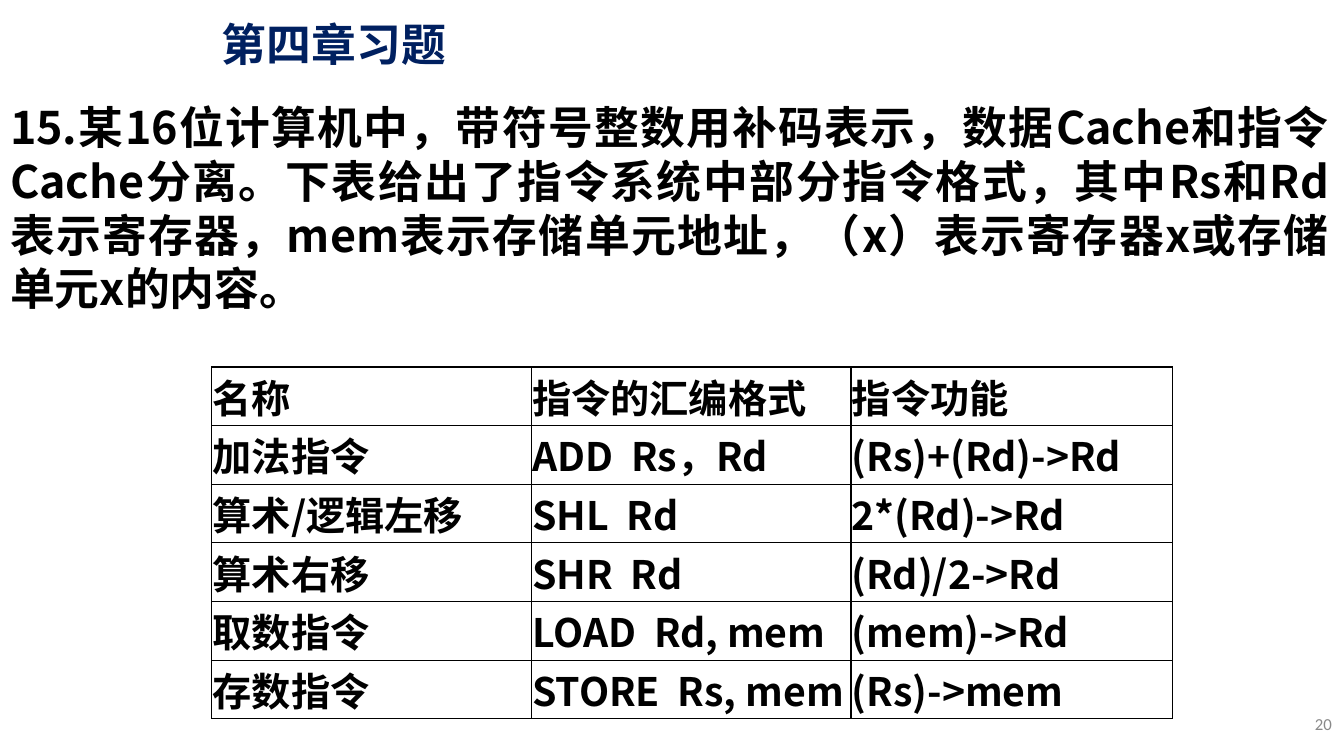
from dataclasses import dataclass

from lxml.etree import SubElement
from pptx import Presentation
from pptx.dml.color import RGBColor
from pptx.enum.text import MSO_ANCHOR, MSO_AUTO_SIZE, PP_ALIGN
from pptx.oxml.ns import qn
from pptx.util import Inches, Pt

BLACK, NAVY, GREY, WHITE = "000000", "002060", "898989", "FFFFFF"
CJK = "Noto Sans CJK JP"


@dataclass(frozen=True)
class TextStyle:
    size: float
    color: str = BLACK
    face: str = CJK
    bold: bool = True
    align: PP_ALIGN = PP_ALIGN.JUSTIFY


@dataclass(frozen=True)
class Instruction:
    name: str
    assembly: str
    function: str


TITLE = TextStyle(32, NAVY, "Noto Sans CJK SC", align=PP_ALIGN.LEFT)
QUESTION = TextStyle(32)
CELL = TextStyle(28)
PAGE = TextStyle(12, GREY, "Calibri", False, PP_ALIGN.RIGHT)

INSTRUCTIONS = [
    Instruction("名称", "指令的汇编格式", "指令功能"),
    Instruction("加法指令", "ADD  Rs，Rd", "(Rs)+(Rd)->Rd"),
    Instruction("算术/逻辑左移", "SHL  Rd", "2*(Rd)->Rd"),
    Instruction("算术右移", "SHR  Rd", "(Rd)/2->Rd"),
    Instruction("取数指令", "LOAD  Rd, mem", "(mem)->Rd"),
    Instruction("存数指令", "STORE  Rs, mem", "(Rs)->mem"),
]
COLUMN_WIDTHS = [3.17, 3.17, 3.19]
ROW_HEIGHT = 0.38


def rgb(color: str) -> RGBColor:
    return RGBColor.from_string(color)


def write(frame, text: str, style: TextStyle) -> None:
    """Fill a text frame with one plain paragraph."""
    frame.text = text
    paragraph = frame.paragraphs[0]
    paragraph.alignment = style.align
    paragraph.line_spacing = 1.0
    paragraph.space_before = Pt(0)
    font = paragraph.font
    font.size, font.bold, font.name = Pt(style.size), style.bold, style.face
    font.color.rgb = rgb(style.color)
    props = paragraph._p.pPr
    props.set("marL", "0")
    props.set("indent", "0")
    defaults = props.find(qn("a:defRPr"))
    SubElement(defaults, qn("a:ea")).set("typeface", style.face)
    defaults.addprevious(props.makeelement(qn("a:buNone")))


def place(shape, left: float, top: float, width: float, height: float,
          anchor: MSO_ANCHOR = MSO_ANCHOR.TOP, inset: float = 0.1) -> None:
    shape.left, shape.top = Inches(left), Inches(top)
    shape.width, shape.height = Inches(width), Inches(height)
    frame = shape.text_frame
    frame.word_wrap = True
    frame.auto_size = MSO_AUTO_SIZE.NONE
    frame.vertical_anchor = anchor
    frame.margin_left = frame.margin_right = Inches(inset)
    frame.margin_top = frame.margin_bottom = Inches(0.05)


def add_borders(cell) -> None:
    props = cell._tc.get_or_add_tcPr()
    for position, side in enumerate(("a:lnL", "a:lnR", "a:lnT", "a:lnB")):
        line = props.makeelement(qn(side), {"w": str(Pt(1))})
        fill = SubElement(line, qn("a:solidFill"))
        SubElement(fill, qn("a:srgbClr")).set("val", BLACK)
        props.insert(position, line)


def add_instruction_table(slide) -> None:
    rows, columns = len(INSTRUCTIONS), len(COLUMN_WIDTHS)
    table = slide.shapes.add_table(
        rows, columns, Inches(2.1), Inches(3.64),
        Inches(sum(COLUMN_WIDTHS)), Inches(rows * ROW_HEIGHT)).table
    for column, width in zip(table.columns, COLUMN_WIDTHS):
        column.width = Inches(width)
    for row, entry in zip(table.rows, INSTRUCTIONS):
        row.height = Inches(ROW_HEIGHT)
        for cell, text in zip(row.cells, (entry.name, entry.assembly, entry.function)):
            write(cell.text_frame, text, CELL)
            cell.vertical_anchor = MSO_ANCHOR.MIDDLE
            cell.margin_left = cell.margin_right = Inches(0.01)
            cell.margin_top = cell.margin_bottom = Inches(0.01)
            cell.fill.solid()
            cell.fill.fore_color.rgb = rgb(WHITE)
            add_borders(cell)


def main() -> None:
    prs = Presentation()
    prs.slide_width, prs.slide_height = Inches(13.33), Inches(7.5)
    slide = prs.slides.add_slide(prs.slide_layouts[1])

    # Heading
    heading = slide.shapes.title
    place(heading, 2.1, 0.12, 7.83, 0.64)
    write(heading.text_frame, "第四章习题", TITLE)

    # Question
    question = slide.placeholders[1]
    place(question, 0, 0.94, 13.28, 2.26)
    write(question.text_frame,
          "15.某16位计算机中，带符号整数用补码表示，数据Cache和指令Cache分离。"
          "下表给出了指令系统中部分指令格式，其中Rs和Rd表示寄存器，"
          "mem表示存储单元地址，（x）表示寄存器x或存储单元x的内容。", QUESTION)

    # Instruction formats
    add_instruction_table(slide)

    # Page number
    page = slide.shapes.add_textbox(0, 0, 0, 0)
    place(page, 10.98, 6.98, 2.33, 0.4, MSO_ANCHOR.MIDDLE)
    write(page.text_frame, "20", PAGE)

    prs.save("out.pptx")


if __name__ == "__main__":
    main()
